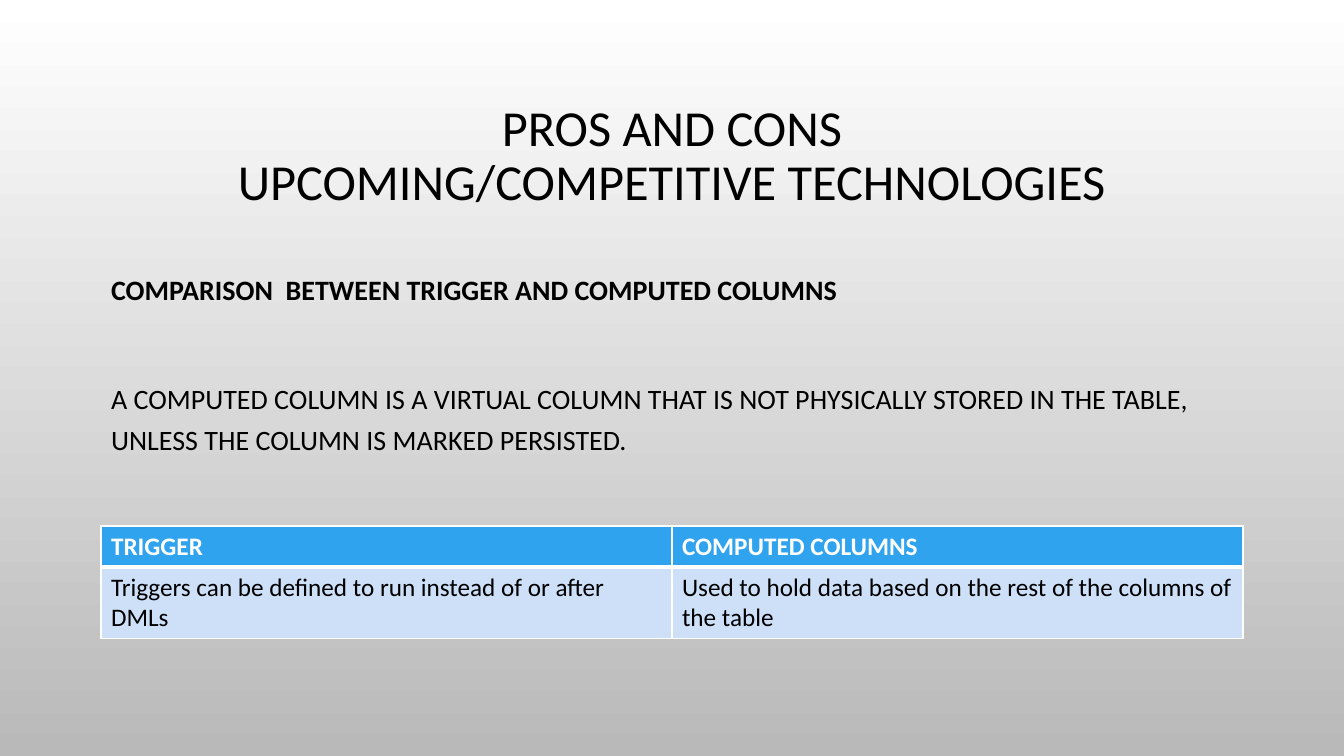
from pptx import Presentation
from pptx import util as u
from pptx.dml.color import RGBColor
from pptx.enum import text
from pptx.oxml import parse_xml
from pptx.oxml.ns import nsdecls

PX = 914400 / 100.8  # EMU in one px


def px(n):
    return u.Emu(round(n * PX))


def rgb(value):
    return RGBColor.from_string(value)


class Deck:
    font = "Calibri"
    ink, white = "000000", "FFFFFF"
    header_fill, row_fill = "2FA3EE", "CDE0F8"

    def __init__(self, width, height):
        self.prs = Presentation()
        self.prs.slide_width, self.prs.slide_height = px(width), px(height)
        self.s = self.prs.slides.add_slide(self.prs.slide_layouts[1])

    def background(self, top, bottom):
        fill = self.s.background.fill
        fill.gradient()
        fill.gradient_angle = 270
        for stop, color in zip(fill.gradient_stops, (top, bottom)):
            stop.color.rgb = rgb(color)

    def style(self, p, size, color, bold=False):
        for r in p.runs:
            r.font.name, r.font.size, r.font.bold = self.font, u.Pt(size), bold
            r.font.color.rgb = rgb(color)

    def place(self, sp, x, y, w, h, anchor):
        sp.left, sp.top, sp.width, sp.height = map(px, (x, y, w, h))
        tf = sp.text_frame
        tf.word_wrap = True
        tf.auto_size = text.MSO_AUTO_SIZE.NONE
        tf.vertical_anchor = anchor
        return tf

    def title(self, words, *box):
        tf = self.place(self.s.shapes.title, *box, text.MSO_ANCHOR.MIDDLE)
        tf.text = words
        p = tf.paragraphs[0]
        p.alignment, p.line_spacing = text.PP_ALIGN.CENTER, 0.9
        self.style(p, 36, self.ink)

    def body(self, items, *box):
        tf = self.place(self.s.placeholders[1], *box, text.MSO_ANCHOR.TOP)
        tf.text = "\n".join(words for words, _, _ in items)
        for p, (_, bold, before) in zip(tf.paragraphs, items):
            pPr = p._p.get_or_add_pPr()
            pPr.set("marL", "0")
            pPr.set("indent", "0")
            pPr.append(parse_xml(f"<a:buNone {nsdecls('a')}/>"))
            p.alignment, p.line_spacing = text.PP_ALIGN.LEFT, 1.2
            p.space_before = u.Pt(before)
            self.style(p, 20, self.ink, bold)

    def borders(self, cell, **widths):
        tcPr = cell._tc.get_or_add_tcPr()
        for i, side in enumerate("LRTB"):
            width = u.Pt(widths.get(side, 1))
            tcPr.insert(i, parse_xml(
                f'<a:ln{side} {nsdecls("a")} w="{width}"><a:solidFill>'
                f'<a:srgbClr val="{self.white}"/></a:solidFill></a:ln{side}>'))

    def table(self, rows, heights, x, y, w):
        frame = self.s.shapes.add_table(
            len(rows), len(rows[0]), *map(px, (x, y, w, sum(heights))))
        for i, row in enumerate(rows):
            header = i == 0
            frame.table.rows[i].height = px(heights[i])
            for j, words in enumerate(row):
                cell = frame.table.cell(i, j)
                cell.text = words
                cell.fill.solid()
                cell.fill.fore_color.rgb = rgb(
                    self.header_fill if header else self.row_fill)
                # Thick rule between the header and the row below
                self.borders(cell, **{"B" if header else "T": 3})
                self.style(cell.text_frame.paragraphs[0], 18,
                           self.white if header else self.ink, header)


def main():
    deck = Deck(1344, 756)
    deck.background("FFFFFF", "B9B9B9")

    # Heading
    deck.title("PROS AND CONS\vUPCOMING/COMPETITIVE TECHNOLOGIES",
               101, 69, 1142, 176)

    # Introduction: text, bold, space before
    deck.body([
        ("COMPARISON  BETWEEN TRIGGER AND COMPUTED COLUMNS", True, 0),
        ("A COMPUTED COLUMN IS A VIRTUAL COLUMN THAT IS NOT PHYSICALLY STORED "
         "IN THE TABLE, UNLESS THE COLUMN IS MARKED PERSISTED.", False, 49),
    ], 101, 261, 1142, 377)

    # Comparison table
    deck.table([
        ("TRIGGER", "COMPUTED COLUMNS"),
        ("Triggers can be defined to run instead of or after DMLs",
         "Used to hold data based on the rest of the columns of the table"),
    ], (41, 71), 101, 526, 1142)

    deck.prs.save("out.pptx")


if __name__ == "__main__":
    main()
